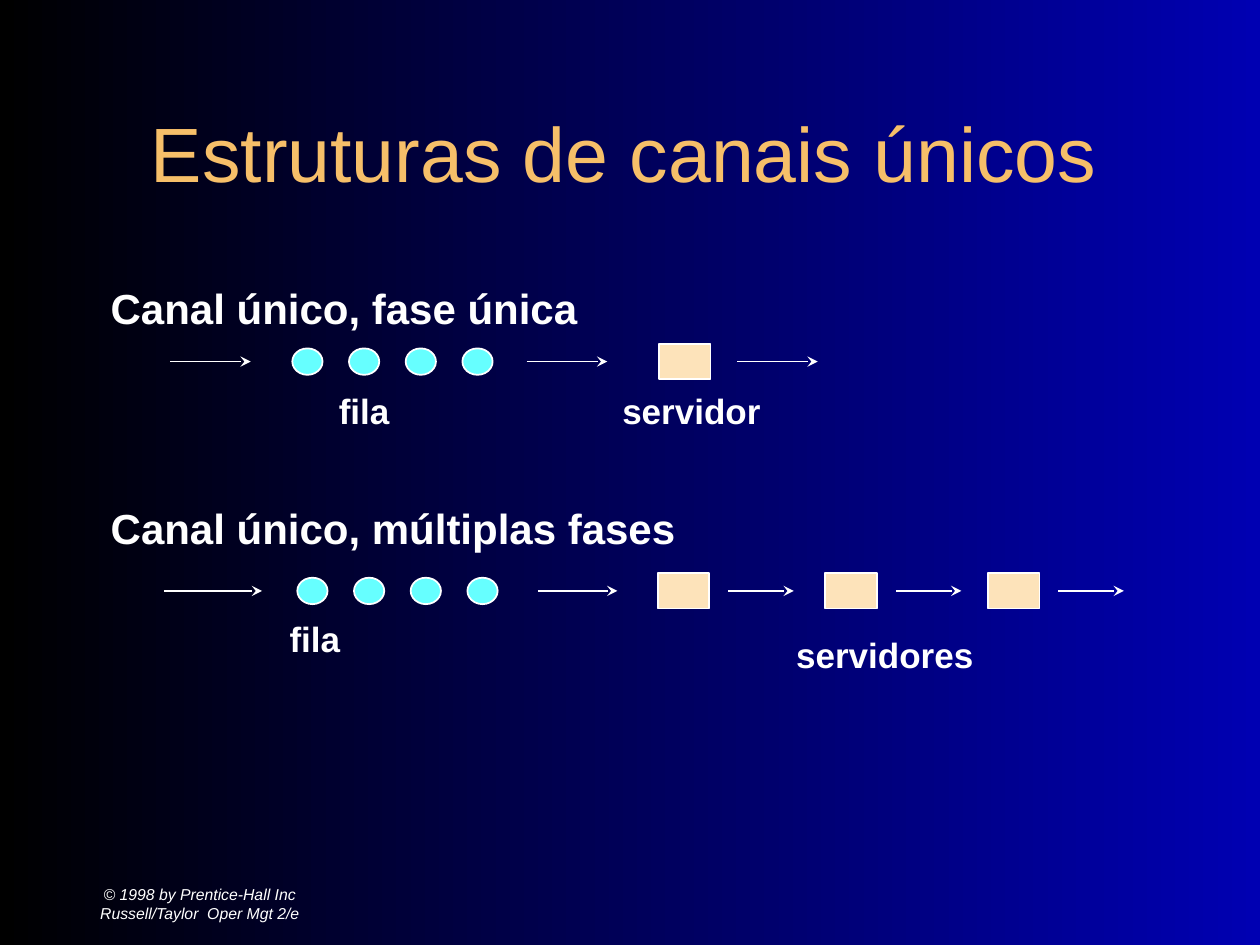
from lxml import etree
from pptx import Presentation
from pptx.dml.color import RGBColor
from pptx.enum.shapes import MSO_CONNECTOR, MSO_SHAPE
from pptx.enum.text import MSO_ANCHOR, MSO_AUTO_SIZE, PP_ALIGN
from pptx.oxml.ns import qn
from pptx.util import Inches, Pt

STRAIGHT = MSO_CONNECTOR.STRAIGHT
OVAL, RECTANGLE = MSO_SHAPE.OVAL, MSO_SHAPE.RECTANGLE
MIDDLE, CENTER = MSO_ANCHOR.MIDDLE, PP_ALIGN.CENTER
NO_AUTOFIT = MSO_AUTO_SIZE.NONE

BLACK = RGBColor(0x00, 0x00, 0x00)
BLUE = RGBColor(0x00, 0x00, 0xB2)
WHITE = RGBColor(0xFF, 0xFF, 0xFF)
GOLD = RGBColor(0xF6, 0xBF, 0x69)
CYAN = RGBColor(0x66, 0xFF, 0xFF)
CREAM = RGBColor(0xFD, 0xE3, 0xBA)

CUSTOMER_SIZE = (0.24, 0.21)
CUSTOMER_PITCH = 0.45
SERVER_SIZE = (0.41, 0.28)


def format_text(paragraph, size, color, bold=False, italic=False):
    font = paragraph.font
    font.name = "Arial"
    font.size = Pt(size)
    font.color.rgb = color
    font.bold = bold
    font.italic = italic


def add_node(kind, left, center_y, size, color):
    """Draw a customer or a server centred on its row."""
    width, height = size
    node = slide.shapes.add_shape(
        kind, Inches(left), Inches(center_y - height / 2), Inches(width), Inches(height))
    node.shadow.inherit = False
    node.fill.solid()
    node.fill.fore_color.rgb = color
    node.line.color.rgb = WHITE
    node.line.width = Pt(1)


prs = Presentation()
prs.slide_width = Inches(10)
prs.slide_height = Inches(7.5)
slide = prs.slides.add_slide(prs.slide_layouts[5])

background = slide.background.fill
background.gradient()
background.gradient_angle = 0
for stop, color, position in zip(background.gradient_stops, (BLACK, BLUE), (0, 1)):
    stop.color.rgb = color
    stop.position = position

title = slide.shapes.title
title.left, title.top = Inches(0.33), Inches(0.58)
title.width, title.height = Inches(9.25), Inches(1.25)
title.text_frame.text = "Estruturas de canais únicos"
title.text_frame.vertical_anchor = MIDDLE
title.text_frame.auto_size = NO_AUTOFIT
title.text_frame.paragraphs[0].alignment = CENTER
format_text(title.text_frame.paragraphs[0], 44, GOLD)

copyright_box = slide.shapes.add_textbox(Inches(0), Inches(6.92), Inches(3.17), Inches(0.5))
copyright_box.text_frame.text = "© 1998 by Prentice-Hall Inc\nRussell/Taylor  Oper Mgt 2/e"
copyright_box.text_frame.vertical_anchor = MIDDLE
copyright_box.text_frame.word_wrap = True
for line in copyright_box.text_frame.paragraphs:
    line.alignment = CENTER
    format_text(line, 9, WHITE, italic=True)

# Text, left, top, width, height, size, line spacing, tab stop
labels = [
    ("Canal único, fase única", 0.78, 2.19, 4, 0.5, 24, None, None),
    ("fila\tservidor", 2.59, 3.13, 3.55, 0.33, 20, 0.7, 2.25),
    ("Canal único, múltiplas fases", 0.78, 3.94, 4.68, 0.5, 24, None, None),
    ("fila", 2.2, 4.85, 1.77, 0.43, 20, None, None),
    ("servidores", 6.22, 4.98, 1.62, 0.43, 20, None, None),
]
for text, left, top, width, height, size, spacing, tab_stop in labels:
    label = slide.shapes.add_textbox(Inches(left), Inches(top), Inches(width), Inches(height))
    label.text_frame.word_wrap = True
    label.text_frame.text = text
    paragraph = label.text_frame.paragraphs[0]
    if spacing:
        paragraph.line_spacing = spacing
    if tab_stop:
        tabs = etree.SubElement(paragraph._p.get_or_add_pPr(), qn("a:tabLst"))
        etree.SubElement(tabs, qn("a:tab"), pos=str(Inches(tab_stop)), algn="l")
    format_text(paragraph, size, WHITE, bold=True)

# Row centre, first customer, servers, arrows (start, end)
rows = [
    (2.87, 2.32, [5.23], [(1.35, 1.99), (4.18, 4.82), (5.85, 6.49)]),
    (4.69, 2.36, [5.22, 6.55, 7.84],
     [(1.3, 2.08), (4.27, 4.9), (5.78, 6.3), (7.11, 7.63), (8.4, 8.92)]),
]
for center_y, first_customer, servers, arrows in rows:
    for i in range(4):
        add_node(OVAL, first_customer + i * CUSTOMER_PITCH, center_y, CUSTOMER_SIZE, CYAN)
    for left in servers:
        add_node(RECTANGLE, left, center_y, SERVER_SIZE, CREAM)
    for start, end in arrows:
        arrow = slide.shapes.add_connector(
            STRAIGHT, Inches(start), Inches(center_y), Inches(end), Inches(center_y))
        arrow.line.color.rgb = WHITE
        arrow.line.width = Pt(1)
        etree.SubElement(arrow.line._get_or_add_ln(), qn("a:tailEnd"), type="stealth")
        etree.SubElement(arrow._element.spPr, qn("a:effectLst"))

prs.save("out.pptx")
